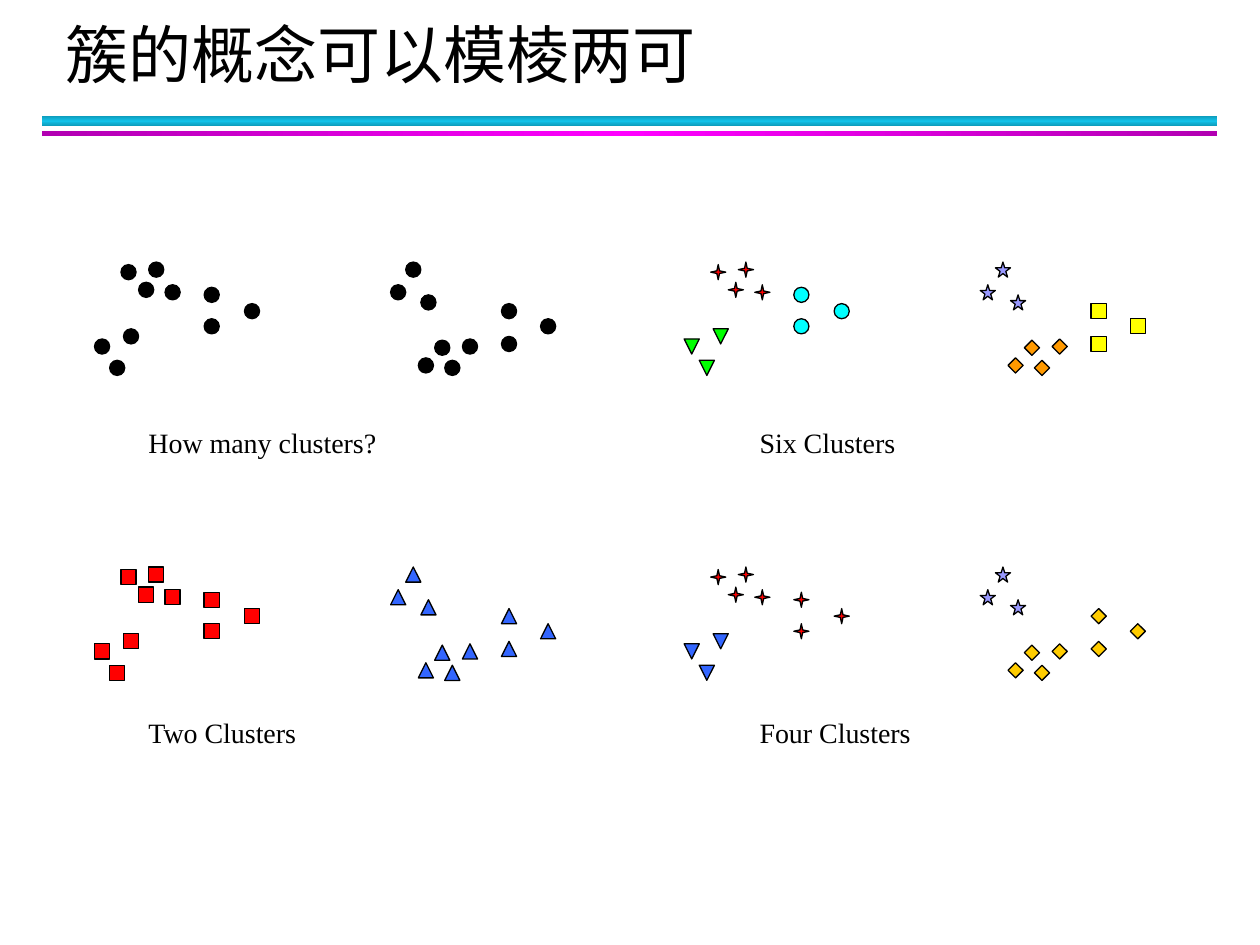
import pptx
import pptx.dml.color
import pptx.enum.shapes
import pptx.enum.text
import pptx.oxml
import pptx.oxml.ns
import pptx.util

Inches = pptx.util.Inches
Pt = pptx.util.Pt
MSO = pptx.enum.shapes.MSO_SHAPE

MARKER = 0.12
UPPER_LEFT = [(0.56, 0.18), (0.21, 0.02), (0.43, 0), (0.35, 0.16)]
LOWER_LEFT = [(0.23, 0.53), (0, 0.61), (0.12, 0.78)]
MID_LEFT = [(0.87, 0.2), (1.19, 0.33), (0.87, 0.45)]
LOWER_RIGHT = [(2.92, 0.61), (2.57, 0.76), (2.78, 0.78), (2.7, 0.62)]
UPPER_RIGHT = [(2.59, 0.26), (2.35, 0.18), (2.47, 0)]
FAR_RIGHT = [(3.23, 0.59), (3.54, 0.45), (3.23, 0.33)]
ALL_LEFT = UPPER_LEFT + LOWER_LEFT + MID_LEFT
ALL_RIGHT = LOWER_RIGHT + UPPER_RIGHT + FAR_RIGHT

PANELS = [
    (0.75, 2.08, "How many clusters?", 1.08, 3.33, [
        (ALL_LEFT + ALL_RIGHT, MSO.OVAL, "000000", False),
    ]),
    (5.43, 4.5, "Four Clusters", 5.93, 5.63, [
        (LOWER_RIGHT + FAR_RIGHT, MSO.DIAMOND, "FFCC00", False),
        (UPPER_RIGHT, MSO.STAR_5_POINT, "9999FF", False),
        (UPPER_LEFT + MID_LEFT, MSO.STAR_4_POINT, "FF0000", False),
        (LOWER_LEFT, MSO.FLOWCHART_EXTRACT, "3366FF", True),
    ]),
    (0.75, 4.5, "Two Clusters", 1.08, 5.63, [
        (ALL_RIGHT, MSO.ISOSCELES_TRIANGLE, "3366FF", False),
        (ALL_LEFT, MSO.RECTANGLE, "FF0000", False),
    ]),
    (5.43, 2.08, "Six Clusters", 5.93, 3.33, [
        (LOWER_RIGHT, MSO.DIAMOND, "FF9900", False),
        (UPPER_RIGHT, MSO.STAR_5_POINT, "9999FF", False),
        (FAR_RIGHT, MSO.RECTANGLE, "FFFF00", False),
        (UPPER_LEFT, MSO.STAR_4_POINT, "FF0000", False),
        (LOWER_LEFT, MSO.ISOSCELES_TRIANGLE, "00FF00", True),
        (MID_LEFT, MSO.OVAL, "00FFFF", False),
    ]),
]


def rgb(color):
    """Return the colour for a hex string."""
    return pptx.dml.color.RGBColor.from_string(color)


def add_run(p, text, font, size):
    """Add a black run to a paragraph."""
    r = p.add_run()
    r.text = text
    r.font.name = font
    r.font.size = Pt(size)
    r.font.color.rgb = rgb("000000")


def add_title(s, text, x, y, w, h):
    """Place the title at the bottom left of its box."""
    sp = s.shapes.title
    sp.left, sp.top, sp.width, sp.height = map(Inches, (x, y, w, h))
    tf = sp.text_frame
    tf.word_wrap = True
    tf.auto_size = pptx.enum.text.MSO_AUTO_SIZE.NONE
    tf.vertical_anchor = pptx.enum.text.MSO_ANCHOR.BOTTOM
    p = tf.paragraphs[0]
    p.alignment = pptx.enum.text.PP_ALIGN.LEFT
    add_run(p, text, "Arial", 36)


def add_bar(s, x, y, w, h, edge, middle, angle):
    """Draw a rule whose colour runs from edge to middle and back."""
    sp = s.shapes.add_shape(MSO.RECTANGLE, *map(Inches, (x, y, w, h)))
    sp.shadow.inherit = False
    sp.line.fill.background()
    sp.fill.gradient()
    sp.fill.gradient_angle = angle
    stops = sp.element.spPr.find(".//" + pptx.oxml.ns.qn("a:gsLst"))
    stops.clear()
    for position, color in ((0, edge), (50000, middle), (100000, edge)):
        stops.append(pptx.oxml.parse_xml(
            f'<a:gs {pptx.oxml.ns.nsdecls("a")} pos="{position}">'
            f'<a:srgbClr val="{color}"/></a:gs>'))


def add_marker(group, x, y, kind, color, flipped):
    """Draw one data point."""
    sp = group.shapes.add_shape(kind, *map(Inches, (x, y, MARKER, MARKER)))
    sp.shadow.inherit = False
    sp.fill.solid()
    sp.fill.fore_color.rgb = rgb(color)
    sp.line.color.rgb = rgb("000000")
    sp.line.width = Pt(0.75)
    if kind == MSO.STAR_4_POINT:
        sp.adjustments[0] = 0.125
    if flipped:
        sp.element.spPr.xfrm.set("flipV", "1")


def add_panel(s, x, y, label, label_x, label_y, clusters):
    """Draw one scatter of clusters with its label."""
    group = s.shapes.add_group_shape()
    for points, kind, color, flipped in clusters:
        for dx, dy in points:
            add_marker(group, x + dx, y + dy, kind, color, flipped)
    sp = group.shapes.add_textbox(*map(Inches, (label_x, label_y, 2.5, 0.37)))
    tf = sp.text_frame
    tf.word_wrap = True
    add_run(tf.paragraphs[0], label, "Times New Roman", 16)


def main():
    """Build the slide and save it."""
    prs = pptx.Presentation()
    prs.slide_width, prs.slide_height = Inches(10), Inches(7.5)
    s = prs.slides.add_slide(prs.slide_layouts[5])
    add_bar(s, 0.33, 0.92, 9.33, 0.08, "0E9BBA", "12C2E9", 90)
    add_bar(s, 0.33, 1.04, 9.33, 0.04, "B200B2", "FF00FF", 0)
    add_title(s, "簇的概念可以模棱两可", 0.42, 0.17, 9.06, 0.6)
    for panel in PANELS:
        add_panel(s, *panel)
    prs.save("out.pptx")


if __name__ == "__main__":
    main()
